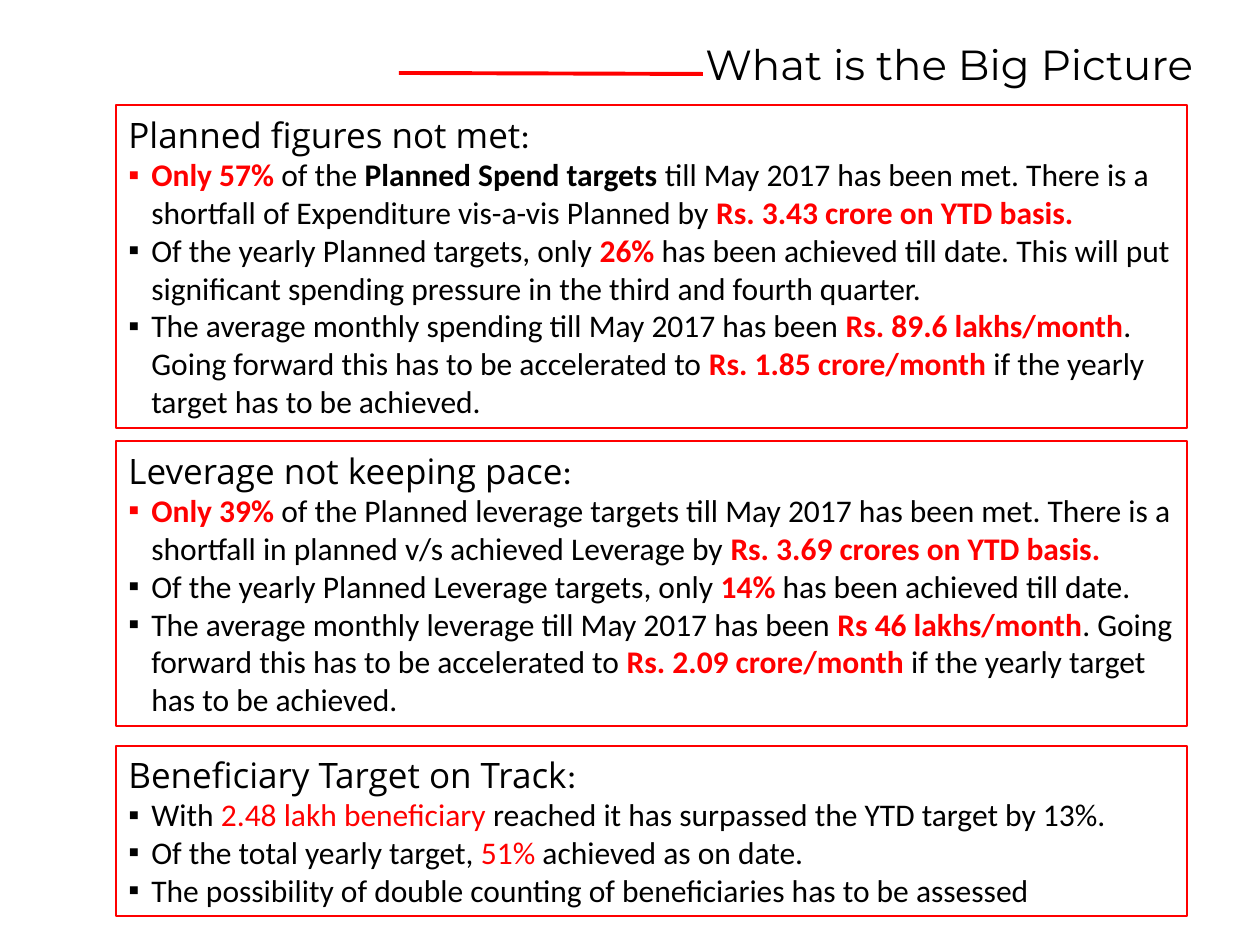
from lxml import etree
from pptx import Presentation
from pptx.dml.color import RGBColor
from pptx.enum.shapes import MSO_CONNECTOR, MSO_SHAPE
from pptx.enum.text import MSO_ANCHOR, PP_ALIGN
from pptx.oxml.ns import qn
from pptx.util import Pt

SCALE = 914400 / 126
RECTANGLE = MSO_SHAPE.RECTANGLE
STRAIGHT = MSO_CONNECTOR.STRAIGHT
MIDDLE = MSO_ANCHOR.MIDDLE
LEFT = PP_ALIGN.LEFT
COLOURS = {"text": "000000", "accent": "FF0000"}
STYLES = {
    "plain": ("text", False),
    "bold": ("text", True),
    "red": ("accent", False),
    "alert": ("accent", True),
}
BULLET_INDENT = 23
PANEL_LEFT, PANEL_WIDTH = 116, 1071

PANELS = [
    (105, 323, "Planned figures not met", [
        [("Only 57%", "alert"), (" of the ", "plain"),
         ("Planned Spend targets ", "bold"),
         ("till May 2017 has been met. There is a shortfall of Expenditure "
          "vis-a-vis Planned by ", "plain"),
         ("Rs. 3.43 crore on YTD basis. ", "alert")],
        [("Of the yearly Planned targets, only ", "plain"), ("26%", "alert"),
         (" has been achieved till date. This will put significant spending "
          "pressure in the third and fourth quarter. ", "plain")],
        [("The average monthly spending till May 2017 has been ", "plain"),
         ("Rs. 89.6 lakhs/month", "alert"),
         (". Going forward this has to be accelerated to ", "plain"),
         ("Rs. 1.85 crore/month ", "alert"),
         ("if the yearly target has to be achieved. ", "plain")],
    ]),
    (441, 285, "Leverage not keeping pace", [
        [("Only 39%", "alert"),
         (" of the Planned leverage targets till May 2017 has been met. There "
          "is a shortfall in planned v/s achieved Leverage by ", "plain"),
         ("Rs. 3.69 crores on YTD basis. ", "alert")],
        [("Of the yearly Planned Leverage targets, only ", "plain"),
         ("14% ", "alert"), ("has been achieved till date. ", "plain")],
        [("The average monthly leverage till May 2017 has been ", "plain"),
         ("Rs 46 lakhs/month", "alert"),
         (". Going forward this has to be accelerated to ", "plain"),
         ("Rs. 2.09 crore/month ", "alert"),
         ("if the yearly target has to be achieved. ", "plain")],
    ]),
    (746, 170, "Beneficiary Target on Track", [
        [("With ", "plain"), ("2.48 lakh beneficiary ", "red"),
         ("reached it has surpassed the YTD target by 13%. ", "plain")],
        [("Of the total yearly target, ", "plain"), ("51% ", "red"),
         ("achieved as on date.", "plain")],
        [("The possibility of double counting of beneficiaries has to be "
          "assessed ", "plain")],
    ]),
]


def px(pixels):
    """Turn pixels into EMU."""
    return round(pixels * SCALE)


def colour(name):
    """Look up a named colour."""
    return RGBColor.from_string(COLOURS[name])


def add_run(paragraph, text, size, font="Calibri", style="plain"):
    """Add one styled run of text."""
    run = paragraph.add_run()
    run.text = text
    run.font.name = font
    run.font.size = Pt(size)
    colour_name, run.font.bold = STYLES[style]
    run.font.color.rgb = colour(colour_name)


def set_bullet(paragraph):
    """Give a paragraph a small square bullet with a hanging indent."""
    properties = paragraph._p.get_or_add_pPr()
    properties.set("marL", str(px(BULLET_INDENT)))
    properties.set("indent", str(-px(BULLET_INDENT)))
    etree.SubElement(properties, qn("a:buFont")).set("typeface", "Arial")
    etree.SubElement(properties, qn("a:buChar")).set("char", "▪")


def add_title(slide, left, top, width, height):
    """Place the title and the red rule leading up to it."""
    box = slide.shapes.add_textbox(px(left), px(top), px(width), px(height))
    box.text_frame.word_wrap = True
    add_run(box.text_frame.paragraphs[0], "What is the Big Picture", 24, "Montserrat")
    rule = slide.shapes.add_connector(
        STRAIGHT, px(left - 294), px(top + 41), px(left + 10), px(top + 42))
    rule.line.color.rgb = colour("accent")
    rule.line.width = Pt(2.25)
    etree.SubElement(rule._element.spPr, qn("a:effectLst"))


def add_panel(slide, left, top, width, height, heading, bullets):
    """Place an outlined panel with a heading and bullets."""
    panel = slide.shapes.add_shape(RECTANGLE, px(left), px(top), px(width), px(height))
    panel.shadow.inherit = False
    panel.fill.background()
    panel.line.color.rgb = colour("accent")
    panel.line.width = Pt(0.75)
    frame = panel.text_frame
    frame.word_wrap = True
    frame.vertical_anchor = MIDDLE
    paragraph = frame.paragraphs[0]
    paragraph.alignment = LEFT
    add_run(paragraph, heading, 20, "Open Sans")
    add_run(paragraph, ": ", 20)
    for runs in bullets:
        paragraph = frame.add_paragraph()
        paragraph.alignment = LEFT
        set_bullet(paragraph)
        for text, style in runs:
            add_run(paragraph, text, 18, style=style)


def main():
    """Build and save the slide."""
    presentation = Presentation()
    presentation.slide_width, presentation.slide_height = px(1260), px(945)
    slide = presentation.slides.add_slide(presentation.slide_layouts[6])
    add_title(slide, 693, 32, 567, 63)
    for top, height, heading, bullets in PANELS:
        add_panel(slide, PANEL_LEFT, top, PANEL_WIDTH, height, heading, bullets)
    presentation.save("out.pptx")


main()
